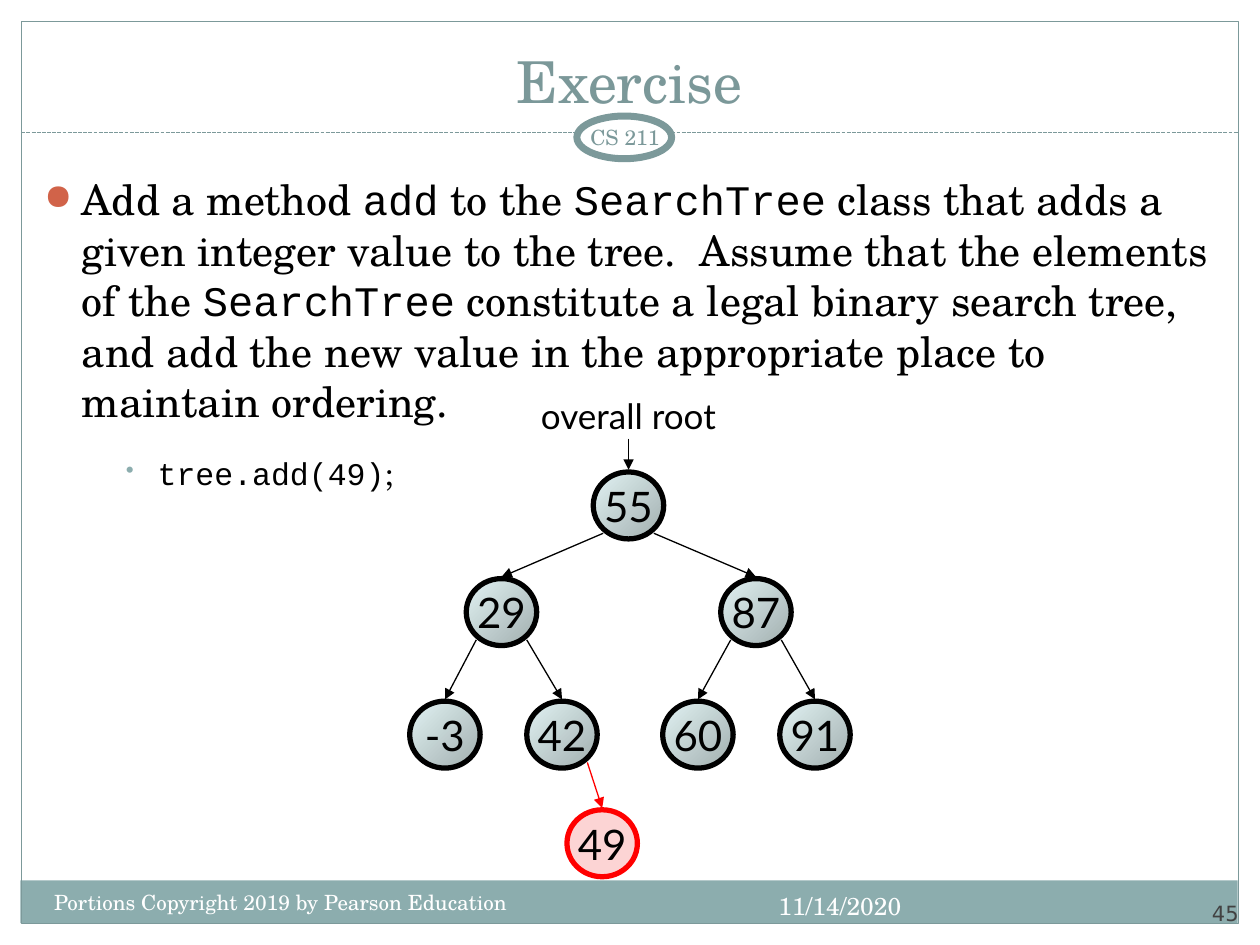
import dataclasses

import lxml.etree
import pptx
import pptx.dml.color
import pptx.enum.dml
import pptx.enum.shapes
import pptx.enum.text
import pptx.oxml.ns
import pptx.util

Cm, Pt = pptx.util.Cm, pptx.util.Pt
SHAPE = pptx.enum.shapes.MSO_SHAPE
ALIGN = pptx.enum.text.PP_ALIGN
ANCHOR = pptx.enum.text.MSO_ANCHOR


@dataclasses.dataclass(frozen=True)
class Theme:
    serif: str = "TeX Gyre Schola"
    code: str = "Courier New"
    diagram: str = "Lato"
    numeral: str = "DejaVu Sans"
    black: str = "000000"
    white: str = "FFFFFF"
    title: str = "7B9899"
    frame: str = "7C999A"
    band: str = "8CADAE"
    accent: str = "D16349"
    number: str = "424242"
    new: str = "FF0000"
    new_fill: str = "FCD4D4"
    node_fill: tuple = ("E1F2F3", "A2AFAF")
    title_size: float = 33
    body_size: float = 24
    label_size: float = 20
    example_size: float = 18
    date_size: float = 14
    small_size: float = 12


def rgb(value):
    return pptx.dml.color.RGBColor.from_string(value)


def apply(target, values):
    for name, value in values.items():
        setattr(target, name, value)


def add_xml(parent, tag, **attributes):
    return lxml.etree.SubElement(parent, pptx.oxml.ns.qn(tag), attributes)


class SlideBuilder:
    """Draws styled elements on one slide."""

    def __init__(self, slide, theme):
        self.slide, self.theme = slide, theme

    def runs(self, paragraph, parts, size, color):
        for wording, font in parts:
            run = paragraph.add_run()
            run.text = wording
            apply(run.font, {"name": font, "size": Pt(size)})
            run.font.color.rgb = rgb(color)

    def text(self, box, wording, size, color, font=None, align=ALIGN.LEFT,
             anchor=ANCHOR.TOP, wrap=True, inset=None):
        frame = self.slide.shapes.add_textbox(*map(Cm, box)).text_frame
        apply(frame, {"word_wrap": wrap, "vertical_anchor": anchor})
        if inset is not None:
            sides = ("left", "top", "right", "bottom")
            apply(frame, {f"margin_{side}": Cm(inset) for side in sides})
        paragraph = frame.paragraphs[0]
        paragraph.alignment = align
        self.runs(paragraph, [(wording, font or self.theme.serif)], size, color)

    def bullets(self, box, items):
        frame = self.slide.shapes.add_textbox(*map(Cm, box)).text_frame
        frame.word_wrap = True
        for index, item in enumerate(items):
            paragraph = frame.add_paragraph() if index else frame.paragraphs[0]
            apply(paragraph, {"level": item["level"], "space_before": Pt(item["before"])})
            properties = paragraph._p.get_or_add_pPr()
            properties.set("marL", str(Cm(item["margin"])))
            properties.set("indent", str(-Cm(item["hang"])))
            add_xml(add_xml(properties, "a:buClr"), "a:srgbClr", val=item["color"])
            add_xml(properties, "a:buSzPct", val=str(item["percent"] * 1000))
            add_xml(properties, "a:buChar", char=item["mark"])
            self.runs(paragraph, item["parts"], item["size"], self.theme.black)

    def shape(self, kind, box, fill=None, line=None, width=0.75):
        shape = self.slide.shapes.add_shape(kind, *map(Cm, box))
        shape.shadow.inherit = False
        if fill is None:
            shape.fill.background()
        elif isinstance(fill, tuple):
            shape.fill.gradient()
            shape.fill.gradient_angle = 315
            for stop, color, position in zip(shape.fill.gradient_stops, fill, (0, 1)):
                stop.color.rgb = rgb(color)
                stop.position = position
        else:
            shape.fill.solid()
            shape.fill.fore_color.rgb = rgb(fill)
        if line is None:
            shape.line.fill.background()
        else:
            shape.line.color.rgb = rgb(line)
            shape.line.width = Pt(width)
        return shape

    def line(self, start, end, color, dash=None, arrow=False):
        connector = self.slide.shapes.add_connector(
            pptx.enum.shapes.MSO_CONNECTOR.STRAIGHT, *map(Cm, start + end))
        connector.line.color.rgb = rgb(color)
        apply(connector.line, {"width": Pt(0.75), "dash_style": dash})
        if arrow:
            add_xml(connector.line._get_or_add_ln(), "a:tailEnd", type="triangle")
        add_xml(connector._element.spPr, "a:effectLst")

    def node(self, center, value, fill, line):
        width, height = 1.42, 1.35
        x, y = center
        box = (x - width / 2, y - height / 2, width, height)
        frame = self.shape(SHAPE.OVAL, box, fill, line, 3).text_frame
        apply(frame, {"word_wrap": False, "vertical_anchor": ANCHOR.MIDDLE})
        paragraph = frame.paragraphs[0]
        paragraph.alignment = ALIGN.CENTER
        self.runs(paragraph, [(value, self.theme.diagram)],
                  self.theme.body_size, self.theme.black)

    def edge(self, parent, child, color):
        side = 0.51 if child[0] > parent[0] else -0.51
        self.line((parent[0] + side, parent[1] + 0.56),
                  (child[0], child[1] - 0.71), color, arrow=True)


def main():
    theme = Theme()
    deck = pptx.Presentation()
    apply(deck, {"slide_width": Cm(25.4), "slide_height": Cm(19.05)})
    page = SlideBuilder(deck.slides.add_slide(deck.slide_layouts[6]), theme)

    page.shape(SHAPE.RECTANGLE, (0.41, 17.75, 24.54, 0.86), theme.band)
    page.shape(SHAPE.RECTANGLE, (0.43, 0.43, 24.54, 18.19), line=theme.frame)
    page.line((0.43, 2.67), (24.97, 2.67), theme.frame,
              dash=pptx.enum.dml.MSO_LINE.SQUARE_DOT)
    page.shape(SHAPE.OVAL, (11.63, 2.34, 1.91, 0.86), theme.white, theme.frame, 4)
    page.text((22.86, 17.65, 2.11, 1.02), "45", theme.small_size, theme.number,
              theme.numeral, ALIGN.RIGHT, ANCHOR.BOTTOM, inset=0)
    page.text((0.84, 0.64, 23.7, 1.8), "Exercise", theme.title_size, theme.title,
              align=ALIGN.CENTER, anchor=ANCHOR.BOTTOM)

    task = [
        ("Add a method ", theme.serif), ("add", theme.code),
        (" to the ", theme.serif), ("SearchTree", theme.code),
        (" class that adds a given integer value to the tree.  Assume that "
         "the elements of the ", theme.serif), ("SearchTree", theme.code),
        (" constitute a legal binary search tree, and add the new value in "
         "the appropriate place to maintain ordering.", theme.serif)]
    example = [("tree.add(49)", theme.code), (";", theme.serif)]
    page.bullets((0.64, 3.38, 24.13, 14.17), [
        dict(level=0, before=0, margin=0.76, hang=0.76, mark="●", percent=85,
             color=theme.accent, size=theme.body_size, parts=task),
        dict(level=2, before=16, margin=2.29, hang=0.64, mark="•", percent=75,
             color=theme.band, size=theme.example_size, parts=example)])

    centers = {"55": (12.67, 10.19), "29": (10.11, 12.34), "87": (15.24, 12.34),
               "-3": (8.97, 14.81), "42": (11.33, 14.81),
               "60": (14.07, 14.81), "91": (16.43, 14.81), "49": (12.14, 17)}
    parents = {"29": "55", "87": "55", "-3": "29", "42": "29",
               "60": "87", "91": "87", "49": "42"}
    added = "49"
    for value, center in centers.items():
        fill, line = ((theme.new_fill, theme.new) if value == added
                      else (theme.node_fill, theme.black))
        page.node(center, value, fill, line)
    for child, parent in parents.items():
        page.edge(centers[parent], centers[child],
                  theme.new if child == added else theme.black)
    page.text((10.64, 7.82, 4.06, 1.09), "overall root", theme.label_size,
              theme.black, theme.diagram, ALIGN.CENTER, wrap=False)
    page.line((12.67, 8.84), (12.67, 9.47), theme.black, arrow=True)

    page.text((14.2, 17.83, 4.22, 1.02), "11/14/2020", theme.date_size,
              theme.white, align=ALIGN.RIGHT)
    page.text((0.84, 17.81, 10.36, 1.02), "Portions Copyright 2019 by Pearson Education",
              theme.small_size, theme.white)
    page.text((11.43, 2.34, 2.34, 0.84), "CS 211", theme.small_size, theme.frame,
              align=ALIGN.CENTER, anchor=ANCHOR.MIDDLE, inset=0.13)
    deck.save("out.pptx")


if __name__ == "__main__":
    main()
